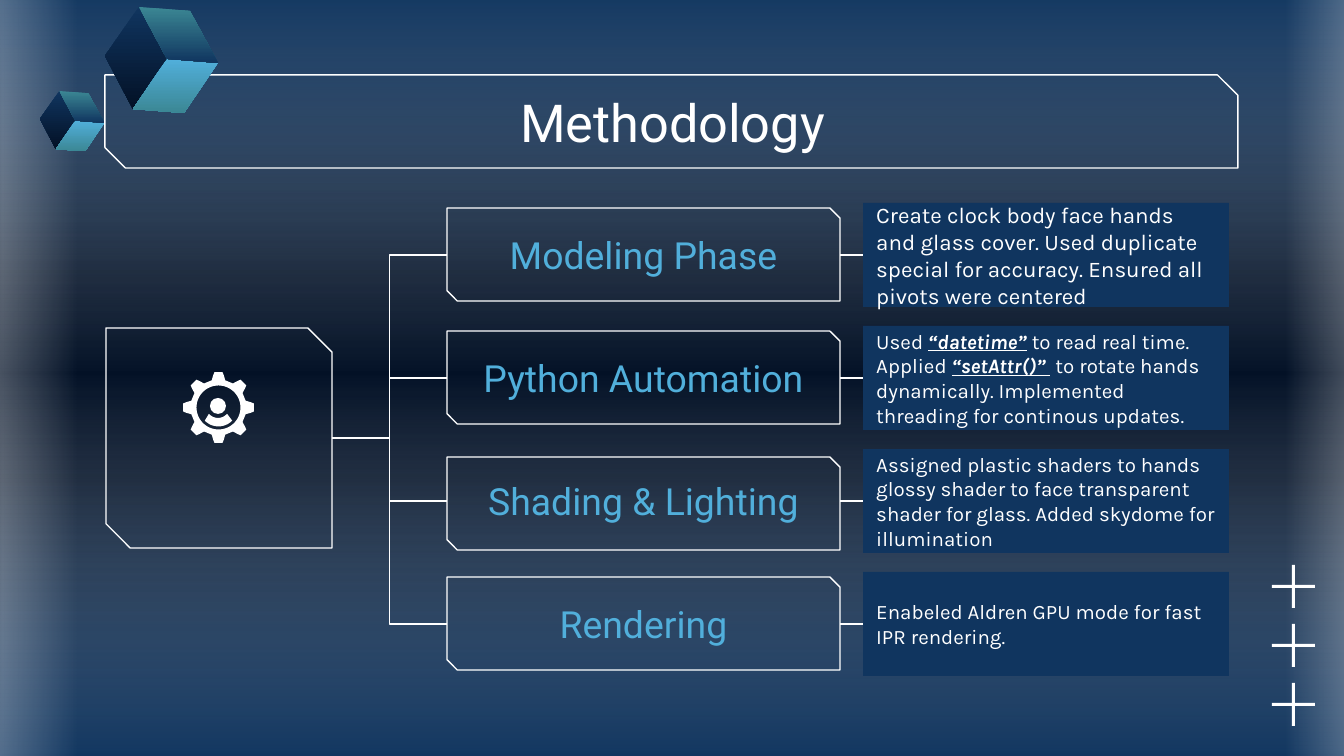
"""Build the Methodology slide: a gear panel branching to four project phases."""
import math
from dataclasses import dataclass

from lxml import etree
from pptx import Presentation
from pptx import util as u
from pptx.dml.color import RGBColor
from pptx.enum import shapes, text
from pptx.oxml import ns

COLORS = {
    "white": "FFFFFF",
    "navy": "10355F",
    "night": "031126",
    "sky": "51AFDB",
    "teal": "3B8794",
}
SCALE = 9144000 / 1344
WIDTH, HEIGHT = 1344, 756
ROW_STEP = 123
LABEL_TOP, LABEL_HEIGHT = 214, 82
NOTE_TOP, NOTE_HEIGHT = 203, 104
PANEL = (106, 328, 226, 220)
GEAR_CENTER = (218.5, 407.5)


@dataclass(frozen=True)
class Stop:
    position: int
    color: str
    alpha: int = 100


@dataclass(frozen=True)
class Span:
    text: str
    size: int
    font: str = "Karla"
    color: str = "white"
    strong: bool = False


@dataclass(frozen=True)
class Phase:
    name: str
    frame_top: int
    note: tuple[Span, ...]


@dataclass(frozen=True)
class Veil:
    box: tuple[int, int, int, int]
    rotation: int
    stops: tuple[Stop, ...]


@dataclass(frozen=True)
class Face:
    points: tuple[tuple[int, int], ...]
    start: str
    end: str


@dataclass(frozen=True)
class Cube:
    left: int
    top: int
    percent: int


NIGHT_SKY = (Stop(0, "navy"), Stop(37, "night"), Stop(63, "night"), Stop(100, "navy"))
GLOW = (Stop(0, "white", 47), Stop(100, "white", 0))
VEILS = (
    Veil((296, -313, 781, 1372), 270,
         (Stop(0, "navy", 59), Stop(50, "white", 0), Stop(100, "navy", 59))),
    Veil((-55, -12, 132, 780), 180, GLOW),
    Veil((1285, -17, 114, 780), 0, GLOW),
)
PHASES = (
    Phase("Modeling Phase", 208, (
        Span("Create clock body face hands and glass cover. Used duplicate special "
             "for accuracy. Ensured all pivots were centered", 12),)),
    Phase("Python Automation", 331, (
        Span("Used ", 11),
        Span("“datetime”", 11, strong=True),
        Span(" to read real time. Applied ", 11),
        Span("“setAttr()” ", 11, strong=True),
        Span(" to rotate hands dynamically. Implemented threading for continous updates.", 11))),
    Phase("Shading & Lighting", 457, (
        Span("Assigned plastic shaders to hands glossy shader to face transparent "
             "shader for glass. Added skydome for illumination", 11),)),
    Phase("Rendering", 577, (
        Span("Enabeled Aldren GPU mode for fast IPR rendering.", 11),)),
)
FACES = (
    Face(((34, 0), (0, 49), (28, 102), (62, 52)), "navy", "night"),
    Face(((62, 52), (113, 56), (79, 106), (28, 102)), "sky", "teal"),
    Face(((34, 0), (85, 4), (113, 56), (62, 52)), "teal", "navy"),
)
CUBES = (Cube(105, 7, 100), Cube(40, 91, 57))
TOOTH = ((-14, 28), (-9, 33), (-6.5, 35.5), (6.5, 35.5), (9, 33), (14, 28))


def px(value: float) -> u.Emu:
    return u.Emu(round(value * SCALE))


def rgb(name: str) -> RGBColor:
    return RGBColor.from_string(COLORS[name])


def set_gradient(holder, stops: tuple[Stop, ...], angle: int) -> None:
    gradient = etree.Element(ns.qn("a:gradFill"), rotWithShape="1")
    stop_list = etree.SubElement(gradient, ns.qn("a:gsLst"))
    for stop in stops:
        entry = etree.SubElement(stop_list, ns.qn("a:gs"), pos=str(stop.position * 1000))
        color = etree.SubElement(entry, ns.qn("a:srgbClr"), val=COLORS[stop.color])
        if stop.alpha < 100:
            etree.SubElement(color, ns.qn("a:alpha"), val=str(stop.alpha * 1000))
    etree.SubElement(gradient, ns.qn("a:lin"), ang=str(angle * 60000), scaled="0")
    holder.replace(holder.find(ns.qn("a:solidFill")), gradient)


def paint(shape, color: str = "white") -> None:
    shape.shadow.inherit = False
    shape.fill.solid()
    shape.fill.fore_color.rgb = rgb(color)
    shape.line.fill.background()


def add_block(parent, box, color: str = "white", kind=shapes.MSO_SHAPE.RECTANGLE):
    shape = parent.shapes.add_shape(kind, *map(px, box))
    paint(shape, color)
    return shape


def add_frame(page, box, snip: float) -> None:
    shape = add_block(page, box, kind=shapes.MSO_SHAPE.SNIP_2_DIAG_RECTANGLE)
    shape.adjustments[0], shape.adjustments[1] = 0, snip
    shape.fill.background()
    shape.line.color.rgb = rgb("white")
    shape.line.width = u.Pt(0.75)


def add_outline(parent, *contours):
    first, *others = [[(px(x), px(y)) for x, y in contour] for contour in contours]
    builder = parent.shapes.build_freeform(*first[0], scale=1.0)
    builder.add_line_segments(first[1:], close=True)
    for contour in others:
        builder.move_to(*contour[0])
        builder.add_line_segments(contour[1:], close=True)
    shape = builder.convert_to_shape()
    paint(shape)
    return shape


def write(shape, spans: tuple[Span, ...], align) -> None:
    frame = shape.text_frame
    frame.word_wrap = True
    frame.auto_size = text.MSO_AUTO_SIZE.NONE
    frame.vertical_anchor = text.MSO_ANCHOR.MIDDLE
    frame.margin_left = frame.margin_right = u.Inches(0.1)
    frame.margin_top = frame.margin_bottom = u.Inches(0.1)
    para = frame.paragraphs[0]
    para.alignment = align
    for span in spans:
        run = para.add_run()
        run.text = span.text
        run.font.name, run.font.size = span.font, u.Pt(span.size)
        run.font.color.rgb = rgb(span.color)
        if span.strong:
            run.font.bold = run.font.italic = run.font.underline = True


def add_link(page, kind, start, end):
    link = page.shapes.add_connector(kind, *map(px, (*start, *end)))
    link.line.color.rgb = rgb("white")
    link.line.width = u.Pt(0.75)
    etree.SubElement(link._element.spPr, ns.qn("a:effectLst"))
    return link


def add_phase(page, index: int, phase: Phase) -> None:
    offset = index * ROW_STEP
    middle = LABEL_TOP + offset + LABEL_HEIGHT // 2
    left, top, width, height = PANEL
    add_frame(page, (447, phase.frame_top, 393, 93), 0.11)
    note = add_block(page, (863, NOTE_TOP + offset, 366, NOTE_HEIGHT), "navy")
    write(note, phase.note, text.PP_ALIGN.LEFT)
    label = page.shapes.add_textbox(*map(px, (447, LABEL_TOP + offset, 393, LABEL_HEIGHT)))
    write(label, (Span(phase.name, 20, "Roboto", "sky"),), text.PP_ALIGN.CENTER)
    add_link(page, shapes.MSO_CONNECTOR.ELBOW, (left + width, top + height // 2), (447, middle))
    link = add_link(page, shapes.MSO_CONNECTOR.STRAIGHT, (840, middle), (863, middle))
    link.begin_connect(label, 3)
    link.end_connect(note, 1)


def polar(center, radius: float, degrees: float) -> tuple[float, float]:
    angle = math.radians(degrees)
    return center[0] + radius * math.cos(angle), center[1] + radius * math.sin(angle)


def add_gear(page) -> None:
    icon = page.shapes.add_group_shape()
    add_block(icon, (210, 398, 16, 16), kind=shapes.MSO_SHAPE.OVAL)
    teeth = [polar(GEAR_CENTER, radius, turn + angle)
             for turn in range(0, 360, 45) for angle, radius in TOOTH]
    hole = [polar(GEAR_CENTER, 22, angle) for angle in range(360, 0, -6)]
    add_outline(icon, teeth, hole)
    outer = [polar(GEAR_CENTER, 19, angle) for angle in range(44, 137, 4)]
    inner = [polar((218, 406), 12, angle) for angle in range(139, 40, -7)]
    add_outline(icon, outer + inner)


def add_cube(page, cube: Cube) -> None:
    group = page.shapes.add_group_shape()
    for face in FACES:
        points = [(cube.left + x * cube.percent / 100, cube.top + y * cube.percent / 100)
                  for x, y in face.points]
        shape = add_outline(group, points)
        set_gradient(shape._element.spPr, (Stop(0, face.start), Stop(100, face.end)), 90)


def add_pluses(page) -> None:
    group = page.shapes.add_group_shape()
    for middle in range(586, 705, 59):
        add_block(group, (1272, middle - 1, 43, 3))
        add_block(group, (1292, middle - 21, 3, 43))


def main() -> None:
    deck = Presentation()
    deck.slide_width, deck.slide_height = px(WIDTH), px(HEIGHT)
    page = deck.slides.add_slide(deck.slide_layouts[5])
    page.background.fill.solid()
    set_gradient(page._element.cSld.bg.bgPr, NIGHT_SKY, 90)
    for veil in VEILS:
        shape = add_block(page, veil.box)
        shape.rotation = veil.rotation
        set_gradient(shape._element.spPr, veil.stops, 180)
    add_frame(page, PANEL, 0.11)
    add_frame(page, (105, 75, 1133, 93), 0.22)
    title = page.shapes.title
    title.left, title.top, title.width, title.height = map(px, (106, 79, 1133, 85))
    write(title, (Span("Methodology", 28, "Roboto"),), text.PP_ALIGN.CENTER)
    page.shapes._spTree.append(title._element)
    for index, phase in enumerate(PHASES):
        add_phase(page, index, phase)
    add_gear(page)
    add_pluses(page)
    for cube in CUBES:
        add_cube(page, cube)
    deck.save("out.pptx")


if __name__ == "__main__":
    main()
